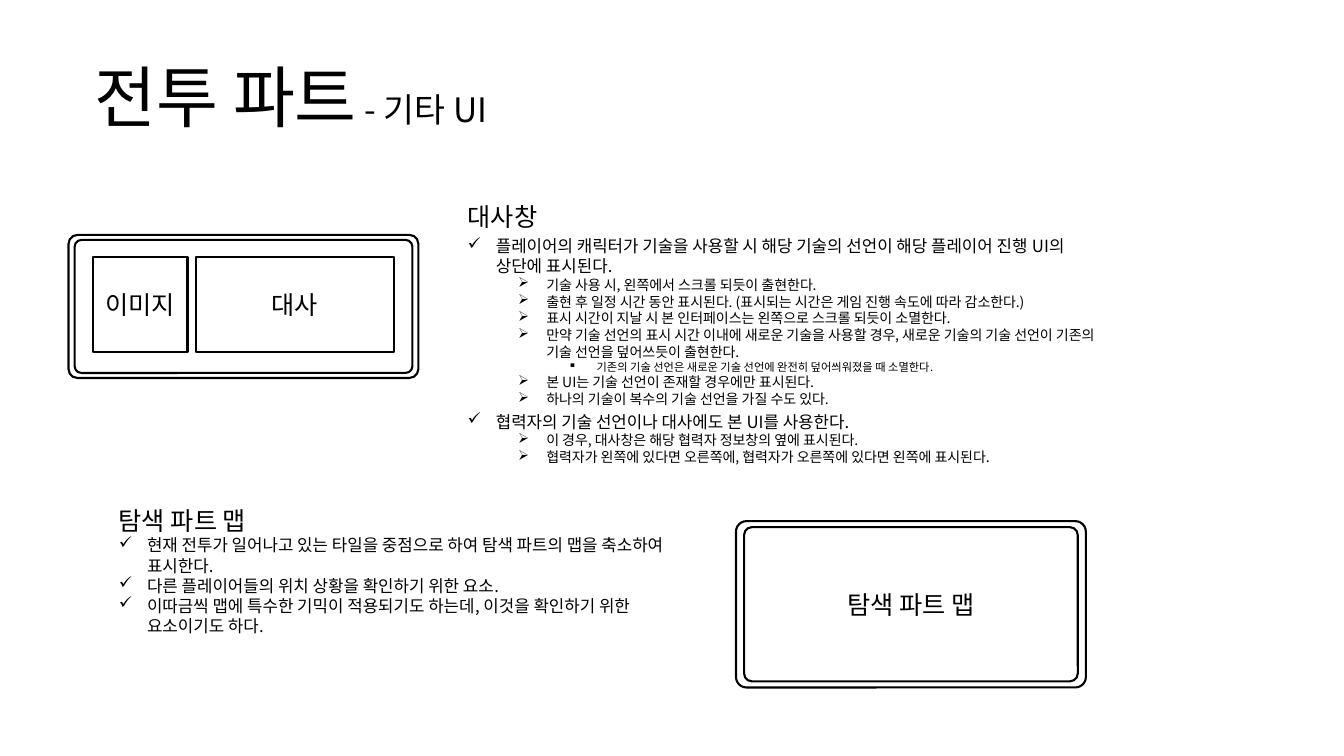
from dataclasses import dataclass

from lxml.etree import SubElement
from pptx import Presentation
from pptx.dml.color import RGBColor
from pptx.enum.shapes import MSO_SHAPE as Shape
from pptx.enum.text import MSO_ANCHOR as Anchor, MSO_AUTO_SIZE as AutoSize, PP_ALIGN as Align
from pptx.oxml.ns import qn
from pptx.util import Pt

PX = 9144


@dataclass(frozen=True)
class Theme:
    font: str = "Noto Sans CJK KR"
    ink: RGBColor = RGBColor(0, 0, 0)
    stroke: float = 1.5
    title: int = 48
    subtitle: int = 24
    heading: int = 18
    levels: tuple = ((12, "✓"), (10, "➢"), (8, "▪"))
    gap: int = 3
    indent: int = 28
    step: int = 50
    outer_corner: float = 0.063
    inner_corner: float = 0.051


def assign(target, **values):
    for name, value in values.items():
        setattr(target, name, value)


class Sketch:
    def __init__(self, page, theme):
        self.page = page
        self.theme = theme

    def span(self, para, text, size):
        span = para.add_run()
        span.text = text
        assign(span.font, size=Pt(size), name=self.theme.font)
        span.font.color.rgb = self.theme.ink
        SubElement(span.font._element, qn("a:ea"), typeface=self.theme.font)

    def text_box(self, bounds, **values):
        box = self.page.shapes.add_textbox(*(PX * side for side in bounds))
        assign(box.text_frame, word_wrap=True, **values)
        return box.text_frame

    def title(self, bounds, main, detail):
        frame = self.text_box(bounds, vertical_anchor=Anchor.MIDDLE)
        para = frame.paragraphs[0]
        self.span(para, main, self.theme.title)
        self.span(para, detail, self.theme.subtitle)

    def notes(self, bounds, heading, items):
        frame = self.text_box(bounds, auto_size=AutoSize.SHAPE_TO_FIT_TEXT)
        self.span(frame.paragraphs[0], heading, self.theme.heading)
        for level, spaced, text in items:
            size, mark = self.theme.levels[level]
            para = frame.add_paragraph()
            assign(para, level=level, space_before=Pt(self.theme.gap if spaced else 0))
            layout = para._p.get_or_add_pPr()
            layout.set("marL", str(PX * (self.theme.indent + self.theme.step * level)))
            layout.set("indent", str(-PX * self.theme.indent))
            SubElement(layout, qn("a:buChar"), char=mark)
            self.span(para, text, size)

    def panel(self, group, bounds, label="", corner=None):
        kind = Shape.RECTANGLE if corner is None else Shape.ROUNDED_RECTANGLE
        panel = group.shapes.add_shape(kind, *(PX * side for side in bounds))
        if corner is not None:
            panel.adjustments[0] = corner
        panel.shadow.inherit = False
        panel.fill.background()
        panel.line.color.rgb = self.theme.ink
        panel.line.width = Pt(self.theme.stroke)
        if label:
            assign(panel.text_frame, vertical_anchor=Anchor.MIDDLE, word_wrap=True)
            para = panel.text_frame.paragraphs[0]
            para.alignment = Align.CENTER
            self.span(para, label, self.theme.heading)

    def window(self, outer, inner, label="", cells=()):
        group = self.page.shapes.add_group_shape()
        self.panel(group, outer, corner=self.theme.outer_corner)
        self.panel(group, inner, label, self.theme.inner_corner)
        for bounds, name in cells:
            self.panel(group, bounds, name)


DIALOGUE_NOTES = [
    (0, True, "플레이어의 캐릭터가 기술을 사용할 시 해당 기술의 선언이 해당 플레이어 진행 UI의 상단에 표시된다."),
    (1, False, "기술 사용 시, 왼쪽에서 스크롤 되듯이 출현한다."),
    (1, False, "출현 후 일정 시간 동안 표시된다. (표시되는 시간은 게임 진행 속도에 따라 감소한다.)"),
    (1, False, "표시 시간이 지날 시 본 인터페이스는 왼쪽으로 스크롤 되듯이 소멸한다."),
    (1, False, "만약 기술 선언의 표시 시간 이내에 새로운 기술을 사용할 경우, "
               "새로운 기술의 기술 선언이 기존의 기술 선언을 덮어쓰듯이 출현한다."),
    (2, False, "기존의 기술 선언은 새로운 기술 선언에 완전히 덮어씌워졌을 때 소멸한다."),
    (1, False, "본 UI는 기술 선언이 존재할 경우에만 표시된다."),
    (1, False, "하나의 기술이 복수의 기술 선언을 가질 수도 있다."),
    (0, True, "협력자의 기술 선언이나 대사에도 본 UI를 사용한다."),
    (1, False, "이 경우, 대사창은 해당 협력자 정보창의 옆에 표시된다."),
    (1, False, "협력자가 왼쪽에 있다면 오른쪽에, 협력자가 오른쪽에 있다면 왼쪽에 표시된다."),
]
MAP_NOTES = [
    (0, False, "현재 전투가 일어나고 있는 타일을 중점으로 하여 탐색 파트의 맵을 축소하여 표시한다."),
    (0, False, "다른 플레이어들의 위치 상황을 확인하기 위한 요소."),
    (0, False, "이따금씩 맵에 특수한 기믹이 적용되기도 하는데, 이것을 확인하기 위한 요소이기도 하다."),
]


def main():
    deck = Presentation()
    assign(deck, slide_width=1333 * PX, slide_height=750 * PX)
    page = deck.slides.add_slide(deck.slide_layouts[6])
    sketch = Sketch(page, Theme())
    sketch.title((84, 36, 764, 117), "전투 파트", " - 기타 UI")
    sketch.notes((454, 195, 654, 270), "대사창", DIALOGUE_NOTES)
    sketch.notes((108, 496, 575, 140), "탐색 파트 맵", MAP_NOTES)
    sketch.window((730, 517, 347, 165), (738, 523, 331, 153), "탐색 파트 맵")
    sketch.window(
        (68, 233, 347, 142),
        (74, 238, 335, 132),
        cells=[((92, 255, 94, 94), "이미지"), ((194, 255, 197, 94), "대사")],
    )
    deck.save("out.pptx")


if __name__ == "__main__":
    main()
